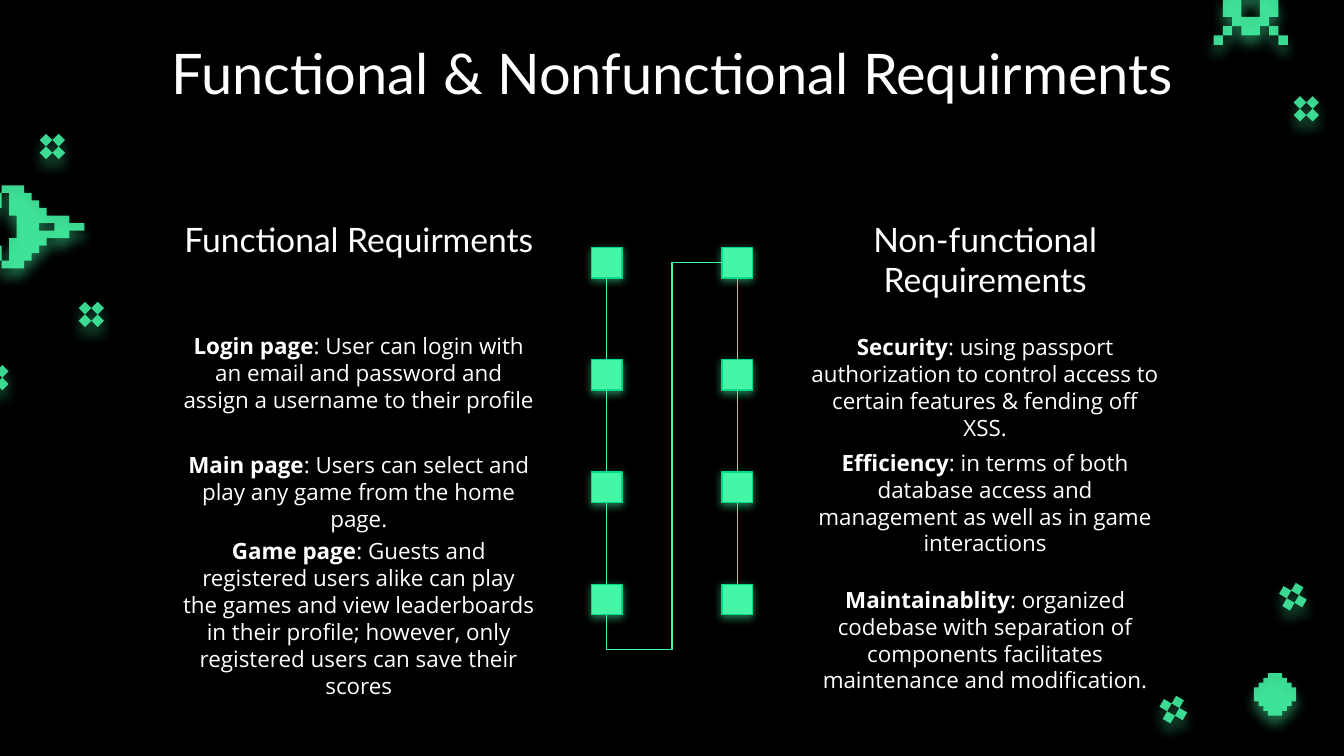
from math import cos, radians, sin
from itertools import pairwise, product

from lxml.etree import SubElement
from pptx import Presentation
from pptx.dml.color import RGBColor
from pptx.enum.shapes import MSO_CONNECTOR, MSO_SHAPE
from pptx.enum.text import MSO_ANCHOR, PP_ALIGN
from pptx.oxml.ns import qn
from pptx.util import Inches, Pt

# Square grid: 100 columns by 56.25 rows
WIDE, HIGH = Inches(10), Inches(5.625)
UNIT = WIDE / 100

HEX = {"back": "000000", "text": "FFFFFF", "glow": "44F6A5", "edge": "00D987"}

# Each sprite: cell size, then outlines as corners (x, y), where the line
# runs across to the next x and then down or up to the next y.
SHIP = (0.56, [
    [(2, 0), (5, 1), (6, 2), (7, 3), (8, 4), (11, 5), (13, 6), (11, 7),
     (8, 8), (7, 9), (6, 10), (5, 11), (2, 10), (3, 7), (4, 4), (3, 1)],
    [(7, 5), (9, 6)],
    [(0, 1), (2, 3), (1, 2)],
    [(0, 9), (1, 8), (2, 10)],
])
BALL = (0.35, [
    [(3, 0), (6, 1), (7, 2), (8, 3), (9, 6), (8, 7), (7, 8), (6, 9),
     (3, 8), (2, 7), (1, 6), (0, 3), (1, 2), (2, 1)],
])
BUG = (0.69, [
    [(3, 0), (5, 1), (6, 2), (7, 4), (6, 5), (5, 6), (3, 5), (2, 4),
     (1, 2), (2, 1)],
    [(3, 2), (5, 4)],
    [(6, 5), (7, 6)], [(7, 6), (8, 7)],
    [(0, 6), (1, 7)], [(1, 5), (2, 6)],
])
SPRITES = [(SHIP, -1, 13.8), (BALL, 93.3, 50.1), (BUG, 90.3, -1.5)]

# Centre and turn in degrees
SPARKS = [(3.9, 10.9, 0), (6.8, 23.4, 0), (-0.3, 28.1, 0),
          (97.2, 8.1, 0), (87.3, 52.8, -15), (96.2, 44.4, -15)]

# Each item: rows below the column's top, height, bold lead, rest
NEEDS = [
    (12.6, "Functional Requirments", [
        (8.4, 7.3, "Login page", ": User can login with an email and password "
         "and assign a username to their profile"),
        (17.3, 5.9, "Main page", ": Users can select and play any game from "
         "the home page."),
        (23.7, 14, "Game page", ": Guests and registered users alike can play "
         "the games and view leaderboards in their profile; however, only "
         "registered users can save their scores"),
    ]),
    (59.2, "Non-functional Requirements", [
        (8.5, 7.5, "Security", ": using passport authorization to control "
         "access to certain features & fending off XSS."),
        (17.1, 4.1, "Efficiency", ": in terms of both database access and "
         "management as well as in game interactions"),
        (27.3, 11.7, "Maintainablity", ": organized codebase with separation "
         "of components facilitates maintenance and modification."),
    ]),
]


def grid(*nums):
    return [round(n * UNIT) for n in nums]


def tint(name):
    return RGBColor.from_string(HEX[name])


def glow(shape, blur, drop):
    """Put a soft green light below the shape."""
    fx = SubElement(shape._element.spPr, qn("a:effectLst"))
    cast = SubElement(fx, qn("a:outerShdw"), blurRad=str(Pt(blur)),
                      dist=str(Pt(drop)), dir="5400000", algn="bl",
                      rotWithShape="0")
    hue = SubElement(cast, qn("a:srgbClr"), val=HEX["glow"])
    SubElement(hue, qn("a:alpha"), val="50000")


def outline(slide, loops):
    """Draw closed loops of grid points as one see-through shape."""
    pen = slide.shapes.build_freeform(*grid(*loops[0][0]), scale=1.0)
    for i, loop in enumerate(loops):
        if i:
            pen.move_to(*grid(*loop[0]))
        pen.add_line_segments([grid(*dot) for dot in loop[1:]], close=True)
    shape = pen.convert_to_shape()
    shape.fill.solid()
    shape.fill.fore_color.rgb = tint("glow")
    hue = shape._element.spPr.find(".//" + qn("a:srgbClr"))
    SubElement(hue, qn("a:alpha"), val="87000")
    shape.line.fill.background()
    glow(shape, 6.75, 4.5)


def sprite(slide, art, left, top):
    cell, loops = art
    outline(slide, [
        [(left + x * cell, top + y * cell)
         for (a, b), (c, _) in pairwise(loop + loop[:1])
         for x, y in ((a, b), (c, b))]
        for loop in loops])


def spark(slide, left, top, turn):
    """Draw four touching diamonds around a centre."""
    half = 0.47
    c, s = half * cos(radians(turn)), half * sin(radians(turn))
    tips = [(0, -1), (1, 0), (0, 1), (-1, 0)]
    outline(slide, [
        [(left + (i + x) * c - (j + y) * s, top + (i + x) * s + (j + y) * c)
         for x, y in tips]
        for i, j in product((-1, 1), repeat=2)])


def label(slide, box, size, font, text, lead=""):
    frame = slide.shapes.add_textbox(*grid(*box)).text_frame
    frame.word_wrap = True
    frame.vertical_anchor = MSO_ANCHOR.TOP
    frame.margin_left = frame.margin_right = grid(1)[0]
    frame.margin_top = frame.margin_bottom = grid(1)[0]
    para = frame.paragraphs[0]
    para.alignment = PP_ALIGN.CENTER
    para.font.size = Pt(size)
    para.font.name = font
    para.font.color.rgb = tint("text")
    if lead:
        run = para.add_run()
        run.text = lead
        run.font.bold = True
    para.add_run().text = text


def column(slide, box, head, items):
    left, top, width = box
    label(slide, (left, top, width, 7.3), 18, "Lato", head)
    for down, high, lead, text in items:
        label(slide, (left, top + down, width, high), 12, "Open Sans",
              text, lead)


def node(slide, left, top, side):
    shape = slide.shapes.add_shape(MSO_SHAPE.RECTANGLE,
                                   *grid(left, top, side, side))
    shape.fill.solid()
    shape.fill.fore_color.rgb = tint("glow")
    shape.line.color.rgb = tint("edge")
    shape.line.width = Pt(0.75)
    glow(shape, 4.5, 1.5)
    return shape


def link(slide, kind, start, out, end, into):
    line = slide.shapes.add_connector(kind, 0, 0, 0, 0)
    line.begin_connect(start, out)
    line.end_connect(end, into)
    line.line.color.rgb = tint("glow")
    line.line.width = Pt(0.75)
    SubElement(line._element.spPr, qn("a:effectLst"))
    return line


def bend(line):
    """Turn an elbow into a four-part one that first dips below its start."""
    left, top, wide, high = line.left, line.top, line.width, line.height
    line.left, line.top = left + (wide - high) // 2, top + (high - wide) // 2
    line.width, line.height = high, wide
    props = line._element.spPr
    frame = props.find(qn("a:xfrm"))
    frame.attrib.pop("flipV", None)
    frame.set("rot", "16200000")
    geom = props.find(qn("a:prstGeom"))
    geom.set("prst", "bentConnector4")
    marks = geom.find(qn("a:avLst"))
    if marks is None:
        marks = SubElement(geom, qn("a:avLst"))
    for name, val in (("adj1", -9900), ("adj2", 56600)):
        SubElement(marks, qn("a:gd"), name=name, fmla=f"val {val}")


def chain(slide, box, count=4, side=2.28):
    """Fill the box with two linked columns of nodes."""
    left, top, wide, high = box
    step = (high - side) / (count - 1)
    sides = [[node(slide, x, top + i * step, side) for i in range(count)]
             for x in (left, left + wide - side)]
    for nodes in sides:
        for start, end in pairwise(nodes):
            link(slide, MSO_CONNECTOR.STRAIGHT, start, 2, end, 0)
    bend(link(slide, MSO_CONNECTOR.ELBOW, sides[0][-1], 2, sides[1][0], 1))


def main():
    deck = Presentation()
    deck.slide_width, deck.slide_height = WIDE, HIGH
    slide = deck.slides.add_slide(deck.slide_layouts[6])
    slide.background.fill.solid()
    slide.background.fill.fore_color.rgb = tint("back")
    for art in SPRITES:
        sprite(slide, *art)
    for place in SPARKS:
        spark(slide, *place)
    label(slide, (7.9, 1.9, 84.3, 11.6), 30, "Lato",
          "Functional & Nonfunctional Requirments")
    for left, head, items in NEEDS:
        column(slide, (left, 15.3, 28.2), head, items)
    chain(slide, (44, 18.4, 12, 27.35))
    deck.save("out.pptx")


if __name__ == "__main__":
    main()
